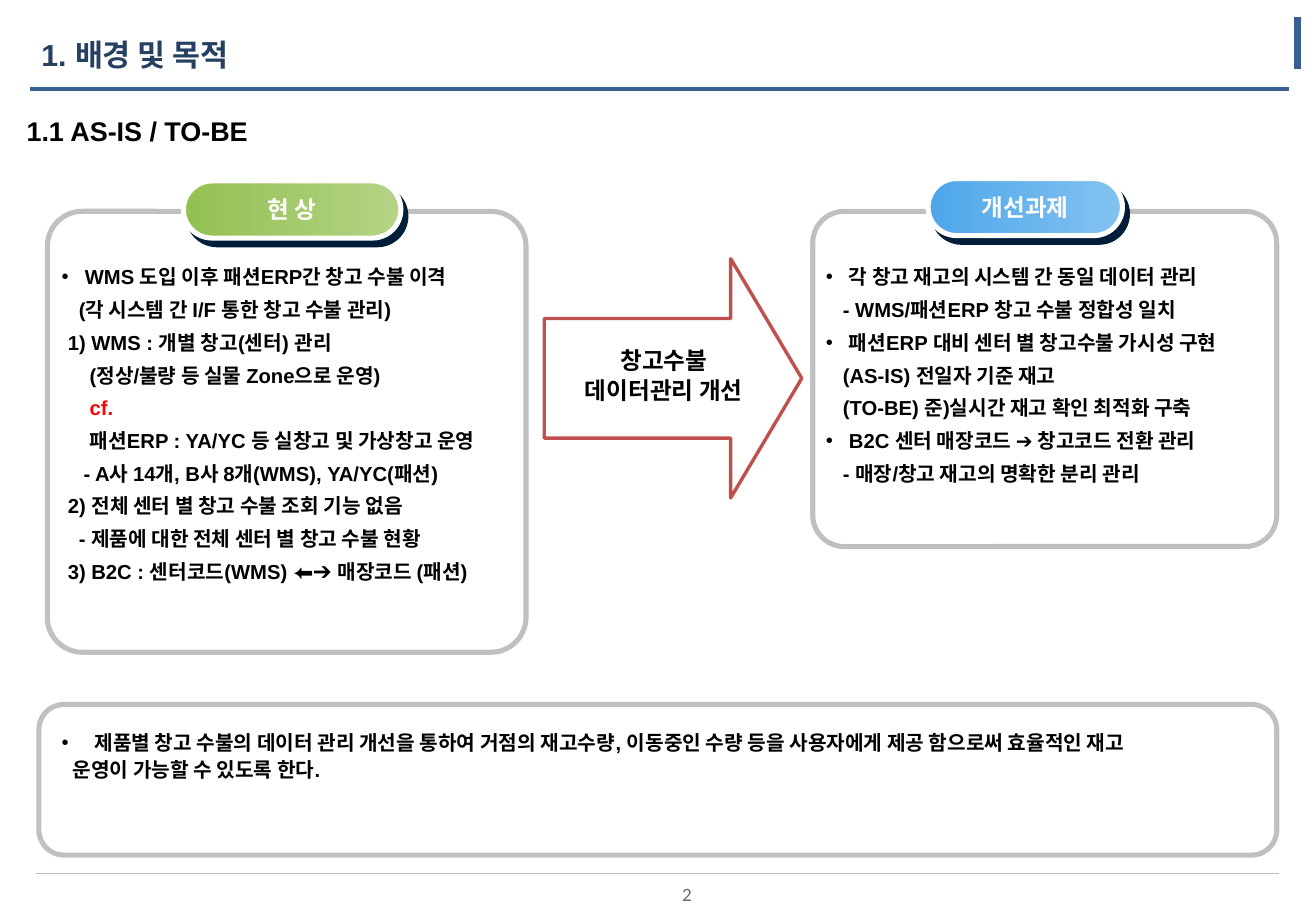
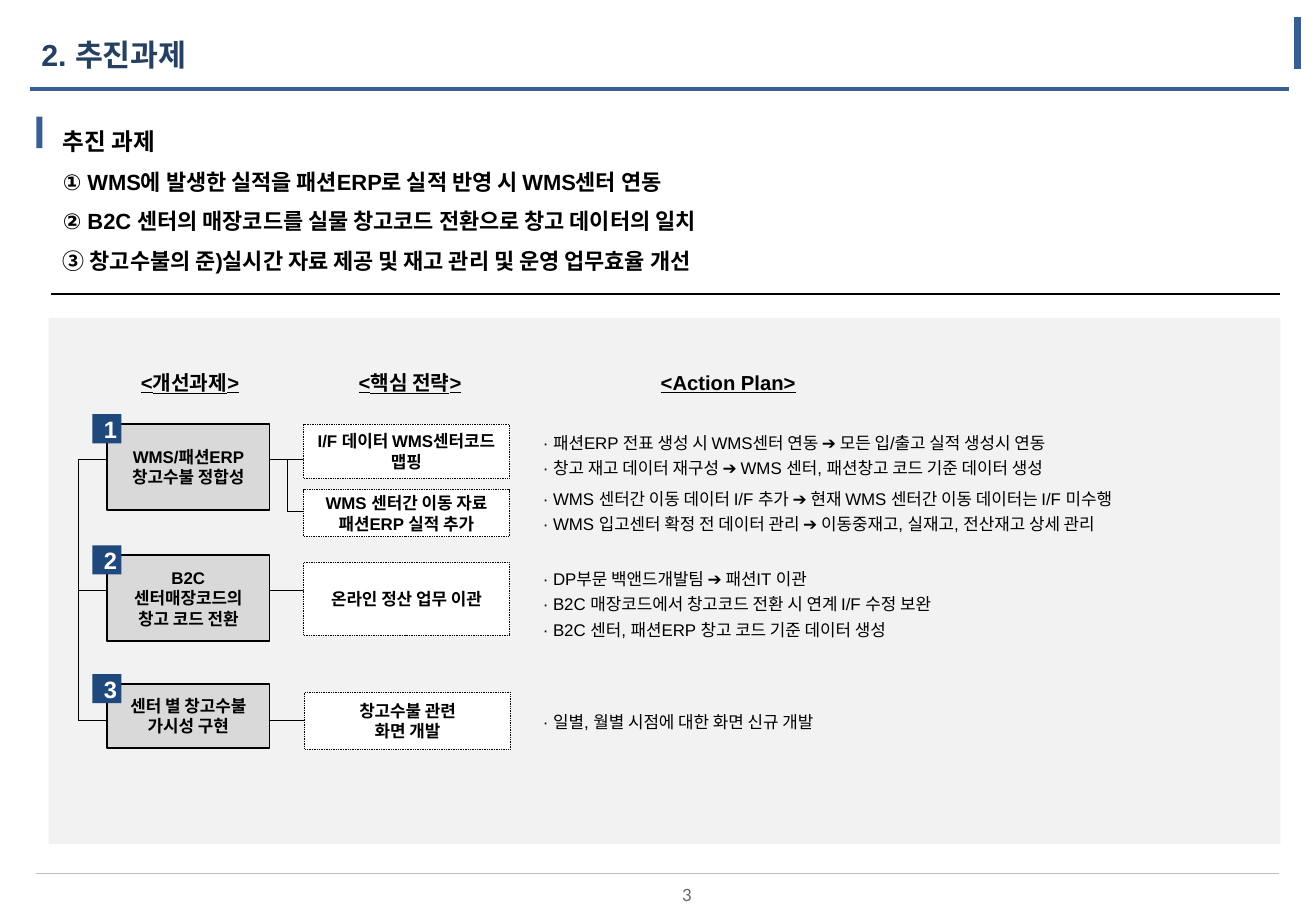
"""Build the background slide and the task slide of a warehouse stock plan."""
from dataclasses import dataclass

from lxml.etree import SubElement
from pptx import Presentation
from pptx.dml.color import RGBColor
from pptx.enum.dml import MSO_LINE
from pptx.enum.shapes import MSO_CONNECTOR, MSO_SHAPE
from pptx.enum.text import MSO_ANCHOR, PP_ALIGN
from pptx.oxml.ns import qn
from pptx.util import Inches, Pt


@dataclass(frozen=True)
class Theme:
    """Colours, fonts and type sizes of the deck."""
    blue: str = "376092"
    navy: str = "254061"
    tag: str = "1F497D"
    black: str = "000000"
    white: str = "FFFFFF"
    red: str = "FF0000"
    arrow: str = "C0504D"
    frame: str = "C0C0C0"
    rule: str = "BFBFBF"
    panel: str = "F2F2F2"
    box: str = "D9D9D9"
    number: str = "646464"
    shadow: str = "001D3A"
    green: tuple = ("93C052", "B4D386")
    sky: tuple = ("4EA7EA", "83C2F0")
    font: str = "Arial"
    number_font: str = "Lato"
    title: int = 18
    subtitle: int = 16
    label: int = 14
    lead: int = 13
    body: int = 12
    small: int = 10


T = Theme()
CELL = 0.1
SLIDE = (108.33, 75)
CENTER, MIDDLE, BOTTOM = PP_ALIGN.CENTER, MSO_ANCHOR.MIDDLE, MSO_ANCHOR.BOTTOM
BULLET = dict(bullet=True, left=0.19, hang=0.19)

ISSUES = [
    ("WMS 도입 이후 패션ERP간 창고 수불 이격", BULLET),
    ("(각 시스템 간 I/F 통한 창고 수불 관리)", dict(left=0.14)),
    ("1) WMS : 개별 창고(센터) 관리", dict(left=0.05)),
    ("(정상/불량 등 실물 Zone으로 운영)", dict(left=0.23)),
    ("cf.", dict(left=0.23, color=T.red)),
    ("패션ERP : YA/YC 등 실창고 및 가상창고 운영", dict(left=0.23)),
    ("- A사 14개, B사 8개(WMS), YA/YC(패션)", dict(left=0.18)),
    ("2) 전체 센터 별 창고 수불 조회 기능 없음", dict(left=0.05)),
    ("- 제품에 대한 전체 센터 별 창고 수불 현황", dict(left=0.14)),
    ("3) B2C : 센터코드(WMS) ⬅➔ 매장코드 (패션)", dict(left=0.05)),
]
GOALS = [
    ("각 창고 재고의 시스템 간 동일 데이터 관리", BULLET),
    ("- WMS/패션ERP 창고 수불 정합성 일치", dict(left=0.14)),
    ("패션ERP 대비 센터 별 창고수불 가시성 구현", BULLET),
    ("(AS-IS) 전일자 기준 재고", dict(left=0.14)),
    ("(TO-BE) 준)실시간 재고 확인 최적화 구축", dict(left=0.14)),
    ("B2C 센터 매장코드 ➔ 창고코드 전환 관리", BULLET),
    ("- 매장/창고 재고의 명확한 분리 관리", dict(left=0.14)),
]
PURPOSE = [
    ("제품별 창고 수불의 데이터 관리 개선을 통하여 거점의 재고수량, 이동중인 수량 등을 "
     "사용자에게 제공 함으로써 효율적인 재고", dict(bullet=True, left=0.27, hang=0.27)),
    ("운영이 가능할 수 있도록 한다.", dict(left=0.09)),
]
LEAD = [
    ("추진 과제", dict(size=T.label)),
    "① WMS에 발생한 실적을 패션ERP로 실적 반영 시 WMS센터 연동",
    "② B2C 센터의 매장코드를 실물 창고코드 전환으로 창고 데이터의 일치",
    "③ 창고수불의 준)실시간 자료 제공 및 재고 관리 및 운영 업무효율 개선",
]
HEADINGS = [(7.8, 15.7, "<개선과제>"), (25.9, 15.7, "<핵심 전략>"),
            (45.6, 28.7, "<Action Plan>")]
TASKS = [
    (34.9, 7.1, 37.8, "WMS/패션ERP 창고수불 정합성"),
    (45.7, 7.1, 48.6, "B2C 센터매장코드의 창고 코드 전환"),
    (56.3, 5.3, 59.3, "센터 별 창고수불 가시성 구현"),
]
STRATEGIES = [
    (25, 34.9, 4.5, ["I/F 데이터 WMS센터코드 맵핑"]),
    (25, 40.3, 3.9, ["WMS 센터간 이동 자료", "패션ERP 실적 추가"]),
    (25, 46.3, 6, ["온라인 정산 업무 이관"]),
    (25.1, 57, 4.7, ["창고수불 관련", "화면 개발"]),
]
PLANS = [
    (34.7, ["· 패션ERP 전표 생성 시 WMS센터 연동 ➔ 모든 입/출고 실적 생성시 연동",
            "· 창고 재고 데이터 재구성 ➔ WMS 센터, 패션창고 코드 기준 데이터 생성"]),
    (39.3, ["· WMS 센터간 이동 데이터 I/F 추가 ➔ 현재 WMS 센터간 이동 데이터는 I/F 미수행",
            "· WMS 입고센터 확정 전 데이터 관리 ➔ 이동중재고, 실재고, 전산재고 상세 관리"]),
    (45.9, ["· DP부문 백앤드개발팀 ➔ 패션IT 이관",
            "· B2C 매장코드에서 창고코드 전환 시 연계 I/F 수정 보완",
            "· B2C 센터, 패션ERP 창고 코드 기준 데이터 생성"]),
    (57.7, ["· 일별, 월별 시점에 대한 화면 신규 개발"]),
]


def grid(*cells):
    """Turn grid cells into slide lengths."""
    return [Inches(round(c * CELL, 3)) for c in cells]


def rgb(color):
    """Return a colour object for a hex string."""
    return RGBColor.from_string(color)


def add_paragraph(p, text, size=T.body, color=T.black, bold=True, font=T.font,
                  underline=None, align=None, spacing=None, before=0,
                  bullet=False, left=0, hang=0):
    """Write one formatted paragraph."""
    pPr = p._p.get_or_add_pPr()
    pPr.set("marL", str(Inches(left)))
    pPr.set("indent", str(-Inches(hang)))
    if bullet:
        SubElement(pPr, qn("a:buFont"), typeface=T.font)
        SubElement(pPr, qn("a:buChar"), char="•")
    p.alignment, p.line_spacing, p.space_before = align, spacing, Pt(before)
    r = p.add_run()
    r.text = text
    f = r.font
    f.name, f.size, f.bold, f.underline = font, Pt(size), bold, underline
    f.color.rgb = rgb(color)


def put_text(sp, text, anchor=MSO_ANCHOR.TOP, inset=(0.1, 0.05, 0.1, 0.05),
             wrap=True, before=0, **fmt):
    """Fill a shape with a string or a list of paragraphs."""
    tf = sp.text_frame
    tf.word_wrap, tf.vertical_anchor = wrap, anchor
    (tf.margin_left, tf.margin_top,
     tf.margin_right, tf.margin_bottom) = [Inches(i) for i in inset]
    for i, item in enumerate([text] if isinstance(text, str) else text):
        line, own = (item, {}) if isinstance(item, str) else item
        p = tf.add_paragraph() if i else tf.paragraphs[0]
        add_paragraph(p, line, **{**fmt, "before": before if i else 0, **own})


def add_text(s, at, text, **fmt):
    """Add a text box."""
    put_text(s.shapes.add_textbox(*grid(*at)), text, **fmt)


def add_box(s, at, kind=MSO_SHAPE.RECTANGLE, fill=None, line=None, width=1,
            dash=None, adj=()):
    """Add a preset shape with a plain fill and outline."""
    sp = s.shapes.add_shape(kind, *grid(*at))
    sp.shadow.inherit = False
    for i, value in enumerate(adj):
        sp.adjustments[i] = value
    if fill:
        sp.fill.solid()
        sp.fill.fore_color.rgb = rgb(fill)
    else:
        sp.fill.background()
    if line:
        sp.line.color.rgb = rgb(line)
        sp.line.width = Pt(width)
        sp.line.dash_style = dash
    else:
        sp.line.fill.background()
    return sp


def add_line(s, x1, y1, x2, y2, color=T.black, width=0.75):
    """Add a straight line."""
    c = s.shapes.add_connector(MSO_CONNECTOR.STRAIGHT, *grid(x1, y1, x2, y2))
    c.line.color.rgb = rgb(color)
    c.line.width = Pt(width)
    SubElement(c._element.spPr, qn("a:effectLst"))


def add_frame(s, at, radius):
    """Add a rounded grey frame."""
    add_box(s, at, MSO_SHAPE.ROUNDED_RECTANGLE, line=T.frame, width=3,
            adj=[radius / min(at[2:])])


def add_pill(s, at, text, colors):
    """Add a gradient label with a hard shadow."""
    sp = add_box(s, at, MSO_SHAPE.ROUNDED_RECTANGLE, line=T.white, width=3,
                 adj=[0.5])
    sp.fill.gradient()
    sp.fill.gradient_angle = 0
    for stop, color in zip(sp.fill.gradient_stops, colors):
        stop.color.rgb = rgb(color)
    effects = sp._element.spPr.find(qn("a:effectLst"))
    shadow = SubElement(effects, qn("a:outerShdw"), blurRad="0",
                        dist=str(Pt(5)), dir=str(53 * 60000), algn="ctr",
                        rotWithShape="0")
    SubElement(shadow, qn("a:srgbClr"), val=T.shadow)
    put_text(sp, text, size=T.label, color=T.white, align=CENTER,
             anchor=MIDDLE, wrap=False)


def add_slide(prs, title, number):
    """Add a slide with the shared title, rules and page number."""
    s = prs.slides.add_slide(prs.slide_layouts[6])
    add_line(s, 3, 71.9, 105.3, 71.9, T.rule, 0.25)
    add_line(s, 106.8, 1.4, 106.8, 5.7, T.blue, 4.5)
    add_line(s, 2.5, 7.3, 106.1, 7.3, T.blue, 2.25)
    add_text(s, (54.6, 72.3, 3.9, 2.9), str(number), size=T.small, bold=False,
             font=T.number_font, color=T.number, align=CENTER, wrap=False)
    add_text(s, (3, 3, 74, 3.7), title, size=T.title, color=T.navy,
             spacing=0.85, inset=[0.04] * 4)
    return s


def build_background(prs):
    """Build the slide on the present state and the goals."""
    s = add_slide(prs, "1. 배경 및 목적", 2)
    add_text(s, (1.2, 8.5, 37.2, 4.6), "1.1 AS-IS / TO-BE", size=T.subtitle,
             anchor=MIDDLE)
    add_box(s, (44.8, 21.3, 21.2, 19.7), MSO_SHAPE.RIGHT_ARROW, T.white,
            T.arrow, 2, adj=[0.5, 0.297])
    add_text(s, (46.3, 28.6, 16.7, 5.5), ["창고수불", "데이터관리 개선"],
             size=T.label, align=CENTER, spacing=0.7, before=6)
    add_frame(s, (3.9, 17.4, 39.4, 36.3), 2.87)
    add_frame(s, (66.9, 17.4, 38.2, 27.6), 2.6)
    add_frame(s, (3.2, 58, 101.9, 12.4), 2.07)
    add_pill(s, (15.1, 14.9, 17.9, 4.7), "현 상", T.green)
    add_pill(s, (76.4, 14.7, 16, 4.7), "개선과제", T.sky)
    add_text(s, (4.1, 21.3, 40.5, 30.3), ISSUES, before=5)
    add_text(s, (67, 21.3, 39.5, 21.2), GOALS, before=5)
    add_text(s, (4.1, 59.6, 101, 5.5), PURPOSE, before=2)


def build_tasks(prs):
    """Build the slide on tasks, strategies and action plans."""
    s = add_slide(prs, "2. 추진과제", 3)
    add_box(s, (3, 9.6, 0.5, 2.6), fill=T.blue)
    add_text(s, (4.2, 7.9, 101.2, 16), LEAD, size=T.lead, spacing=1.5,
             anchor=MIDDLE)
    add_line(s, 4.2, 24.2, 105.4, 24.2)
    add_box(s, (4, 26.2, 101.4, 43.3), fill=T.panel)
    for x, w, text in HEADINGS:
        add_text(s, (x, 30.5, w, 2), text, underline=True, align=CENTER,
                 anchor=BOTTOM, inset=[0] * 4)
    add_line(s, 6.45, TASKS[0][2], 6.45, TASKS[-1][2])
    add_line(s, 23.65, 37.8, 23.65, 42.1)
    add_line(s, 23.65, 42.1, 25.5, 42.1)
    for i, (y, h, mid, text) in enumerate(TASKS, 1):
        add_line(s, 6.45, mid, 26.6, mid)
        put_text(add_box(s, (8.8, y, 13.4, h), fill=T.box, line=T.black), text,
                 size=T.small, align=CENTER, anchor=MIDDLE)
        put_text(add_box(s, (7.6, y - 0.8, 2.4, 2.4), fill=T.tag), str(i),
                 size=T.label, color=T.white, align=CENTER, anchor=MIDDLE,
                 inset=(0.06, 0, 0, 0))
    for x, y, h, lines in STRATEGIES:
        sp = add_box(s, (x, y, 16.9, h), fill=T.white, line=T.black, width=0.5,
                     dash=MSO_LINE.ROUND_DOT)
        put_text(sp, lines, size=T.small, align=CENTER, anchor=MIDDLE)
    for y, lines in PLANS:
        add_text(s, (43.7, y, 61.7, 2.1 * len(lines) + 1), lines, size=T.small,
                 bold=False, spacing=1.25)


def main():
    """Build and save the deck."""
    prs = Presentation()
    prs.slide_width, prs.slide_height = grid(*SLIDE)
    build_background(prs)
    build_tasks(prs)
    prs.save("out.pptx")


if __name__ == "__main__":
    main()
